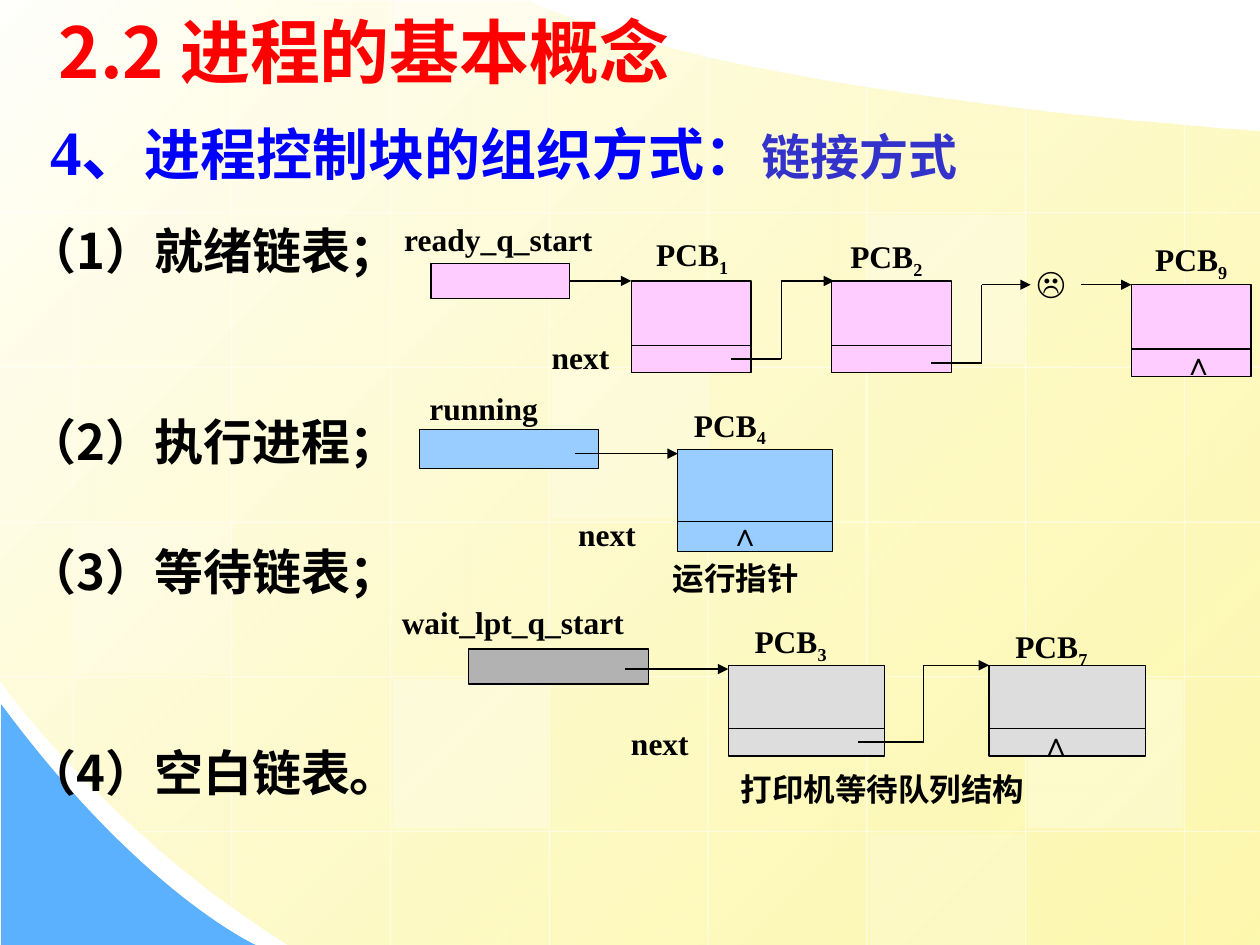
from dataclasses import dataclass

from lxml import etree
from pptx import Presentation
from pptx.dml.color import RGBColor
from pptx.enum.shapes import MSO_CONNECTOR, MSO_SHAPE
from pptx.enum.text import MSO_ANCHOR
from pptx.oxml.ns import qn
from pptx.util import Inches, Pt

RECTANGLE = MSO_SHAPE.RECTANGLE
STRAIGHT = MSO_CONNECTOR.STRAIGHT
MIDDLE = MSO_ANCHOR.MIDDLE

# The slide is a grid of 100 columns by 75 rows
COLUMNS, ROWS = 100, 75
UNIT = Inches(0.1)
FOOT = 0.7  # share of a control block above its pointer field
TILE_STEP_X, TILE_STEP_Y = 12.6, 12.28


@dataclass(frozen=True)
class Theme:
    cjk: str = "Noto Sans CJK SC"
    serif: str = "Times New Roman"
    sans: str = "Arial"
    symbol: str = "Lato"
    title: int = 40
    number: int = 36
    heading: int = 32
    item: int = 28
    label: int = 18
    hairline: float = 0.75
    red: str = "FF0000"
    blue: str = "0000FF"
    indigo: str = "3333CC"
    black: str = "000000"
    white: str = "FFFFFF"
    cream: str = "FFFFFB"
    yellow: str = "FDF58D"
    sky: str = "5CB1FE"
    ready: str = "FFCCFF"
    running: str = "99CCFF"
    waiting_head: str = "B2B2B2"
    waiting: str = "DDDDDD"


THEME = Theme()


def rgb(color):
    return RGBColor.from_string(color)


def grid(*lengths):
    return [round(length * UNIT) for length in lengths]


def set_opacity(element, percent):
    color = list(element.iter(qn("a:srgbClr")))[-1]
    etree.SubElement(color, qn("a:alpha")).set("val", str(percent * 1000))


def add_line(slide, start, end, color=THEME.black, arrow=False):
    line = slide.shapes.add_connector(STRAIGHT, *grid(*start, *end))
    line.line.color.rgb = rgb(color)
    line.line.width = Pt(THEME.hairline)
    if arrow:
        line_properties = line.line._get_or_add_ln()
        etree.SubElement(line_properties, qn("a:tailEnd")).set("type", "triangle")
    etree.SubElement(line._element.spPr, qn("a:effectLst"))
    return line


def add_link(slide, *points):
    """Pointer through the given points, with an arrowhead at the last one."""
    for start, end in zip(points, points[1:]):
        add_line(slide, start, end, arrow=end == points[-1])


def add_box(slide, bounds, color, outlined=True):
    box = slide.shapes.add_shape(RECTANGLE, *grid(*bounds))
    box.shadow.inherit = False
    box.fill.solid()
    box.fill.fore_color.rgb = rgb(color)
    if outlined:
        box.line.color.rgb = rgb(THEME.black)
        box.line.width = Pt(THEME.hairline)
    else:
        box.line.fill.background()
    return box


def add_block(slide, bounds, color):
    """Process control block with its pointer field at the foot."""
    left, top, width, height = bounds
    add_box(slide, bounds, color)
    divider = top + height * FOOT
    add_line(slide, (left, divider), (left + width, divider))


def style_paragraph(paragraph, size, font, color):
    style = paragraph.font
    style.size, style.name, style.bold = Pt(size), font, True
    style.color.rgb = rgb(color)
    defaults = paragraph._p.pPr.find(qn("a:defRPr"))
    etree.SubElement(defaults, qn("a:ea")).set("typeface", THEME.cjk)


def add_text_frame(slide, bounds):
    frame = slide.shapes.add_textbox(*grid(*bounds)).text_frame
    frame.word_wrap = True
    return frame


def add_text(slide, bounds, text, size=THEME.label, font=THEME.serif,
             color=THEME.black, subscript=""):
    frame = add_text_frame(slide, bounds)
    paragraph = frame.paragraphs[0]
    paragraph.add_run().text = text
    if subscript:
        index = paragraph.add_run()
        index.text = subscript
        index._r.get_or_add_rPr().set("baseline", "-25000")
    style_paragraph(paragraph, size, font, color)
    return frame


def add_pcb_label(slide, left, top, index):
    add_text(slide, (left, top, 11, 4.4), "PCB", subscript=index)


def add_end_mark(slide, left, top):
    add_text(slide, (left, top, 5.6, 4), "∧", font=THEME.sans)


def bezier(p0, p1, p2, p3, steps=40):
    for step in range(1, steps + 1):
        t = step / steps
        weights = (1 - t) ** 3, 3 * t * (1 - t) ** 2, 3 * t * t * (1 - t), t ** 3
        yield tuple(sum(w * p[axis] for w, p in zip(weights, (p0, p1, p2, p3)))
                    for axis in (0, 1))


def add_outline(slide, points):
    first, *rest = [grid(*point) for point in points]
    builder = slide.shapes.build_freeform(*first)
    builder.add_line_segments(rest, close=True)
    outline = builder.convert_to_shape()
    outline.shadow.inherit = False
    outline.line.fill.background()
    return outline


def draw_background(slide):
    # Yellow field with a curved top and corner
    field = add_outline(slide, [
        (100, 10.4), (100, 75), (23, 75),
        *bezier((23, 75), (8.6, 66.1), (-0.1, 53.9), (0, 53.9)),
        (-0.1, -0.1), (42.1, 0.1),
        *bezier((42.1, 0.1), (42.1, 0.1), (53.7, 6.9), (100, 10.4))])
    field.fill.gradient()
    field.fill.gradient_angle = 315
    for stop, color in zip(field.fill.gradient_stops, (THEME.cream, THEME.yellow)):
        stop.color.rgb = rgb(color)
    set_opacity(field._element.spPr.find(qn("a:gradFill")), 70)

    # Blue corner
    corner = add_outline(slide, [
        (0.1, 55.9), (0.1, 75), (20.3, 75),
        *bezier((20.3, 75), (20.3, 75), (11.2, 70.9), (0.1, 55.9))])
    corner.fill.solid()
    corner.fill.fore_color.rgb = rgb(THEME.sky)

    # Grid lines, each cut off at the curves
    def tile_x(column):
        return 5.8 + TILE_STEP_X * column

    def tile_y(row):
        return 4.6 + TILE_STEP_Y * row

    tops = (0, 0, 0, 0, 4.3, 6.8, 8.5, 9.8)
    bottoms = (60.9, 71.9) + (ROWS,) * 6
    rulings = [((tile_x(i), top), (tile_x(i), bottom))
               for i, (top, bottom) in enumerate(zip(tops, bottoms))]
    lefts, rights = (0,) * 5 + (11.1,), (56.8,) + (COLUMNS,) * 5
    rulings += [((right, tile_y(i)), (left, tile_y(i)))
                for i, (left, right) in enumerate(zip(lefts, rights))]
    for start, end in rulings:
        ruling = add_line(slide, start, end, THEME.white)
        set_opacity(ruling._element.spPr, 50)

    # Pale tiles: column, row, opacity
    for column, row, opacity in ((3, 2, 25), (6, 4, 30), (0, 3, 20), (5, 5, 20),
                                 (2, -1, 40), (2, 4, 30), (5, 1, 30)):
        top = max(0, tile_y(row) + 0.2)
        bottom = min(ROWS, tile_y(row) + 12)
        tile = add_box(slide, (tile_x(column) + 0.2, top, 12.3, bottom - top),
                       THEME.white, outlined=False)
        set_opacity(tile._element.spPr, opacity)


def draw_headings(slide):
    title = add_text(slide, (3.7, 0, 69.6, 8), "2.2 进程的基本概念",
                     THEME.title, THEME.cjk, THEME.red)
    title.vertical_anchor = MIDDLE

    heading = add_text_frame(slide, (3, 8.4, 82.1, 7)).paragraphs[0]
    for text, size in (("4、", THEME.number), ("进程控制块的组织方式：", THEME.heading),
                       ("链接方式", THEME.item)):
        part = heading.add_run()
        part.text = text
        part.font.size = Pt(size)
    part.font.name = THEME.cjk
    part.font.color.rgb = rgb(THEME.indigo)
    style_paragraph(heading, THEME.heading, THEME.serif, THEME.blue)


def draw_items(slide):
    frame = add_text_frame(slide, (1.2, 17, 92.9, 51.2))
    items = (("（1）就绪链表；", 0), ("（2）执行进程；", 75.5),
             ("（3）等待链表；", 40.6), ("（4）空白链表。", 81.2))
    for number, (text, space_before) in enumerate(items):
        item = frame.add_paragraph() if number else frame.paragraphs[0]
        item.add_run().text = text
        if space_before:
            item.space_before = Pt(space_before)
        style_paragraph(item, THEME.item, THEME.cjk, THEME.black)


def draw_ready_queue(slide):
    for left, top in ((89.8, 22.6), (66, 22.3), (50.1, 22.3)):
        add_block(slide, (left, top, 9.5, 7.3), THEME.ready)
    add_link(slide, (43.7, 22.3), (50.1, 22.3))
    add_link(slide, (58, 28.5), (62, 28.5), (62, 22.3), (66.2, 22.3))
    add_link(slide, (73.9, 28.8), (77.9, 28.8), (77.9, 22.6), (81.8, 22.6))
    add_link(slide, (85.8, 22.6), (89.8, 22.6))
    add_box(slide, (34.2, 20.9, 11, 2.8), THEME.ready)
    add_text(slide, (31.1, 17, 17.5, 4), "ready_q_start")
    add_text(slide, (42.8, 26.3, 7.1, 4), "next")
    add_text(slide, (81.3, 20.4, 5.6, 4), "☹", font=THEME.symbol)
    for left, top, index in ((51.1, 18.2, "1"), (66.5, 18.3, "2"), (90.7, 18.6, "9")):
        add_pcb_label(slide, left, top, index)
    add_end_mark(slide, 92.9, 26.8)


def draw_running_process(slide):
    add_box(slide, (33.3, 34.1, 14.2, 3.1), THEME.running)
    add_block(slide, (53.8, 35.7, 12.3, 8.1), THEME.running)
    add_link(slide, (45.6, 36), (53.8, 36))
    add_text(slide, (33.1, 30.4, 16.4, 4), "running")
    add_text(slide, (44.9, 40.4, 9.2, 4), "next")
    add_text(slide, (52.4, 43.9, 18.3, 4), "运行指针")
    add_pcb_label(slide, 54.1, 31.7, "4")
    add_end_mark(slide, 56.9, 40.4)


def draw_waiting_queue(slide):
    add_box(slide, (37.2, 51.5, 14.3, 2.8), THEME.waiting_head)
    for left in (78.5, 57.8):
        add_block(slide, (left, 52.8, 12.4, 7.2), THEME.waiting)
    add_link(slide, (49.6, 53.1), (57.8, 53.1))
    add_link(slide, (68.1, 58.9), (73.3, 58.9), (73.3, 52.8), (78.5, 52.8))
    add_text(slide, (30.9, 47.4, 26.8, 4), "wait_lpt_q_start")
    add_text(slide, (49.1, 57, 9.3, 4), "next")
    add_text(slide, (57.8, 60.6, 35.1, 4), "打印机等待队列结构")
    add_pcb_label(slide, 58.9, 48.9, "3")
    add_pcb_label(slide, 79.6, 49.3, "7")
    add_end_mark(slide, 81.6, 57)


def main():
    deck = Presentation()
    deck.slide_width, deck.slide_height = grid(COLUMNS, ROWS)
    slide = deck.slides.add_slide(deck.slide_layouts[6])
    draw_background(slide)
    draw_headings(slide)
    draw_items(slide)
    draw_ready_queue(slide)
    draw_running_process(slide)
    draw_waiting_queue(slide)
    deck.save("out.pptx")


if __name__ == "__main__":
    main()
